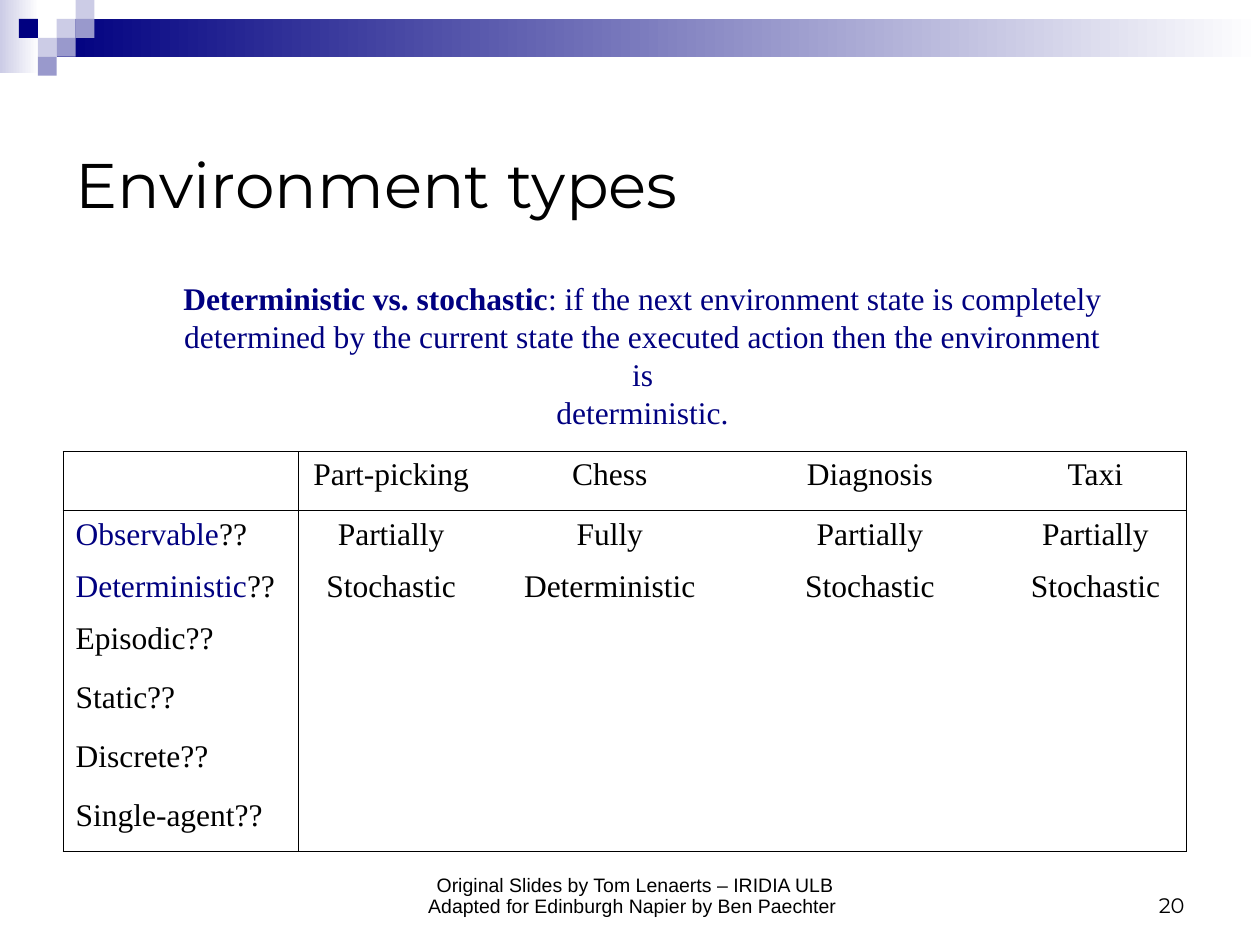
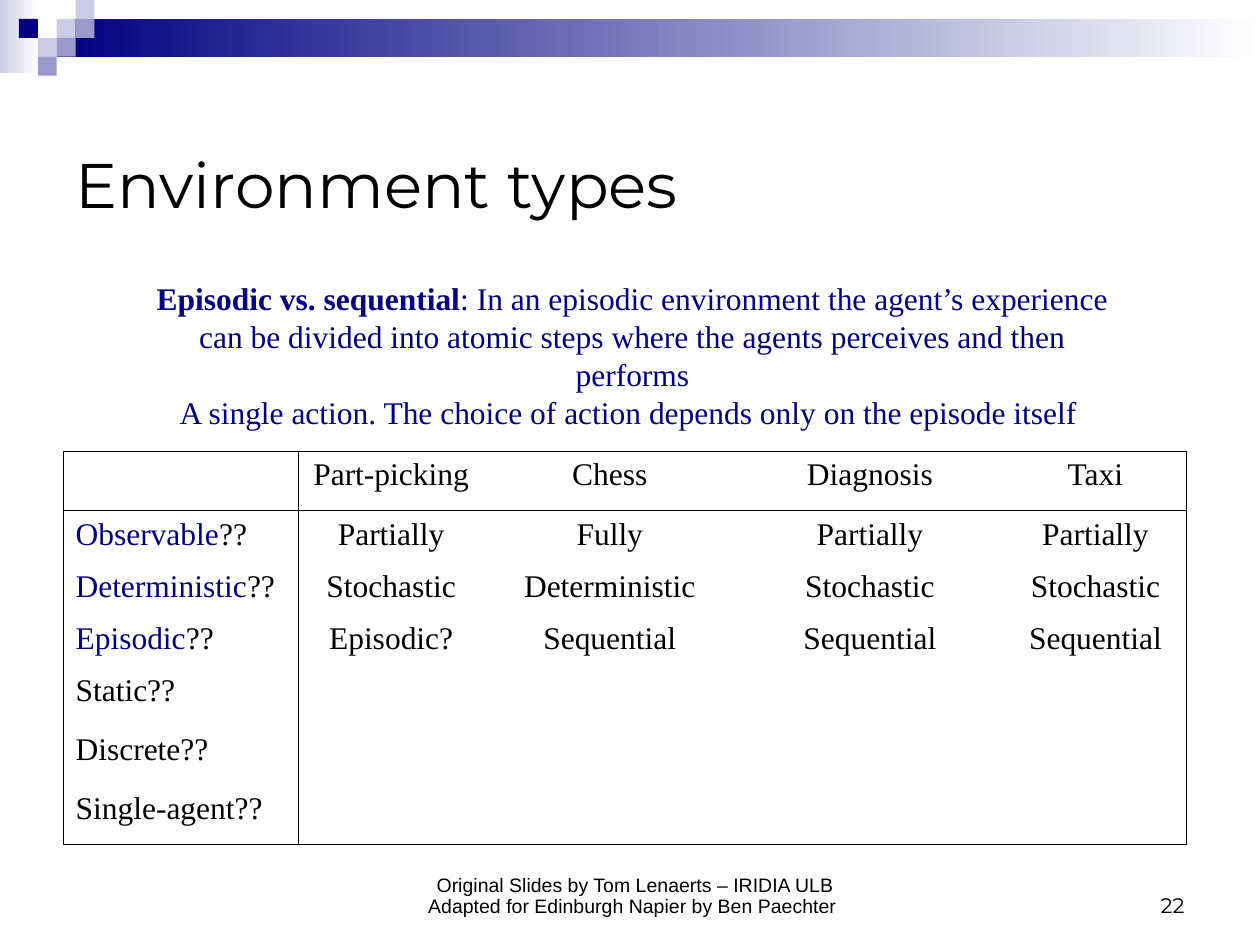
import pptx
import pptx.util
import pptx.dml.color
import pptx.enum.shapes
import pptx.enum.text
import pptx.oxml
import pptx.oxml.ns

RGB = pptx.dml.color.RGBColor
NAVY = RGB(0x00, 0x00, 0x80)
MID = RGB(0x99, 0x99, 0xCC)
LIGHT = RGB(0xCC, 0xCC, 0xE6)
WHITE = RGB(0xFF, 0xFF, 0xFF)
BLACK = RGB(0x00, 0x00, 0x00)

SANS, SERIF, SMALL = "Montserrat", "Times New Roman", "Arial"
ALIGN = pptx.enum.text.PP_ALIGN
ANCHOR = pptx.enum.text.MSO_ANCHOR
RECT = pptx.enum.shapes.MSO_SHAPE.RECTANGLE

COLS, ROWS = 20, 45
TILE_W, TILE_H = 0.3, 0.9
TILES = [(3, 1, LIGHT), (4, 0, LIGHT), (4, 1, MID), (2, 2, LIGHT),
         (1, 1, NAVY), (3, 2, MID), (2, 3, MID)]

CREDIT = ["Original Slides by Tom Lenaerts – IRIDIA ULB",
          "Adapted for Edinburgh Napier by Ben Paechter "]
TASKS = ["", "Part-picking", "Chess", "Diagnosis", "Taxi"]
TRAITS = ["Observable", "Deterministic", "Episodic", "Static", "Discrete",
          "Single-agent"]
WIDTHS = [3.74, 2.94, 4, 4.26, 2.9]
TALL, SHORT = 2.82, 2.48
ANSWERS = [["Partially", "Fully", "Partially", "Partially"],
           ["Stochastic", "Deterministic", "Stochastic", "Stochastic"],
           ["Episodic?", "Sequential", "Sequential", "Sequential"]]

PAGES = [
    ("20", 2, (2.5, 15.4), "Deterministic vs. stochastic",
     [": if the next environment state is completely",
      "determined by the current state the executed action then the environment is",
      "deterministic."]),
    ("22", 3, (2, 16.08), "Episodic vs. sequential",
     [": In an episodic environment the agent’s experience",
      "can be divided into atomic steps where the agents perceives and then performs",
      "A single action. The choice of action depends only on the episode itself "]),
]


class Deck:
    def __init__(self):
        self.file = pptx.Presentation()
        self.file.slide_width = pptx.util.Inches(10)
        self.file.slide_height = pptx.util.Inches(7.5)
        self.slide = None

    def wide(self, cols):
        return round(self.file.slide_width * cols / COLS)

    def high(self, rows):
        return round(self.file.slide_height * rows / ROWS)

    def area(self, x, y, w, h):
        return self.wide(x), self.high(y), self.wide(w), self.high(h)

    def page(self, title):
        self.slide = self.file.slides.add_slide(self.file.slide_layouts[5])
        head = self.slide.shapes.title
        head.left, head.top, head.width, head.height = self.area(1, 5, 18, 7.5)
        head.text_frame.text = title
        head.text_frame.vertical_anchor = ANCHOR.MIDDLE
        self.style(head.text_frame, SANS, 36, align=ALIGN.LEFT)

    def style(self, frame, font, size, color=BLACK, align=ALIGN.CENTER):
        for para in frame.paragraphs:
            para.alignment = align
            for run in para.runs:
                run.font.name = font
                run.font.size = pptx.util.Pt(size)
                run.font.color.rgb = color

    def rect(self, x, y, w, h, color, fade=False):
        shape = self.slide.shapes.add_shape(RECT, *self.area(x, y, w, h))
        shape.shadow.inherit = False
        shape.line.fill.background()
        if fade:
            shape.fill.gradient()
            shape.fill.gradient_angle = 0
            for stop, tone in zip(shape.fill.gradient_stops, (color, WHITE)):
                stop.color.rgb = tone
        else:
            shape.fill.solid()
            shape.fill.fore_color.rgb = color

    def text(self, x, y, w, h, lines, wrap=True, anchor=ANCHOR.BOTTOM):
        frame = self.slide.shapes.add_textbox(*self.area(x, y, w, h)).text_frame
        frame.word_wrap = wrap
        frame.vertical_anchor = anchor
        frame.text = "\n".join(lines)
        return frame

    def band(self):
        self.rect(0, 0, 0.62, 3.48, LIGHT, fade=True)
        self.rect(0.9, 0.9, 19.1, 1.8, NAVY, fade=True)
        for col, row, color in TILES:
            self.rect(col * TILE_W, row * TILE_H, TILE_W, TILE_H, color)

    def foot(self, number):
        frame = self.text(6.06, 41, 8.04, 3, CREDIT)
        self.style(frame, SMALL, 11.1)
        for para in frame.paragraphs:
            para.line_spacing = 0.9
        frame = self.text(14.34, 41, 4.66, 3, [number])
        self.style(frame, SANS, 12, align=ALIGN.RIGHT)

    def note(self, span, term, lines):
        left, width = span
        frame = self.text(left, 13, width, 6, [term] + lines[1:],
                          wrap=False, anchor=ANCHOR.TOP)
        first = frame.paragraphs[0]
        first.runs[0].font.bold = True
        first.add_run().text = lines[0]
        self.style(frame, SERIF, 18, NAVY)

    def edge(self, cell, sides):
        props = cell._tc.get_or_add_tcPr()
        for side in "LRTB":
            fill = "<a:noFill/>"
            if side in sides:
                fill = f'<a:solidFill><a:srgbClr val="{BLACK}"/></a:solidFill>'
            props.append(pptx.oxml.parse_xml(
                f'<a:ln{side} {pptx.oxml.ns.nsdecls("a")} w="5715">{fill}</a:ln{side}>'))
        cell.fill.background()

    def grid(self, known):
        blank = [""] * (len(TASKS) - 1)
        body = ANSWERS[:known] + [blank] * (len(TRAITS) - known)
        rows = [TASKS] + [[name] + vals for name, vals in zip(TRAITS, body)]
        tall = [SHORT if all(row) else TALL for row in rows]
        table = self.slide.shapes.add_table(
            len(rows), len(TASKS),
            *self.area(1, 21.5, sum(WIDTHS), sum(tall))).table
        table.first_row = table.horz_banding = False
        for col, width in zip(table.columns, WIDTHS):
            col.width = self.wide(width)
        for r, vals in enumerate(rows):
            table.rows[r].height = self.high(tall[r])
            for c, val in enumerate(vals):
                cell = table.cell(r, c)
                frame = cell.text_frame
                frame.text = val
                if r and not c:
                    frame.paragraphs[0].add_run().text = "??"
                self.style(frame, SERIF, 18,
                           align=ALIGN.CENTER if c else ALIGN.LEFT)
                if 0 < r <= known and not c:
                    frame.paragraphs[0].runs[0].font.color.rgb = NAVY
                sides = {"L": c < 2, "R": c in (0, len(vals) - 1),
                         "T": r < 2, "B": r in (0, len(rows) - 1)}
                self.edge(cell, [side for side, drawn in sides.items() if drawn])


def main():
    deck = Deck()
    for number, known, span, term, lines in PAGES:
        deck.page("Environment types")
        deck.band()
        deck.foot(number)
        deck.grid(known)
        deck.note(span, term, lines)
    deck.file.save("out.pptx")


if __name__ == "__main__":
    main()
